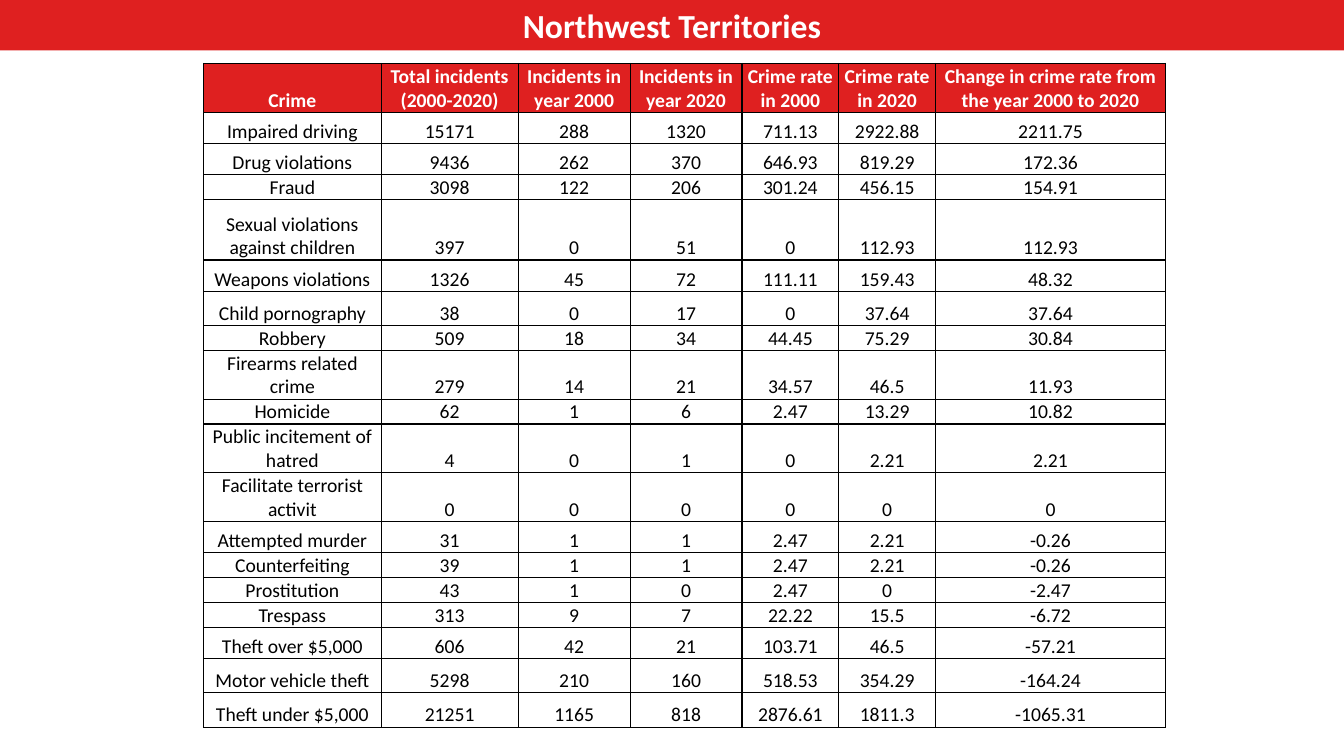
from dataclasses import dataclass
from typing import NamedTuple

from lxml import etree
from pptx import Presentation
from pptx import util as u
from pptx.dml.color import RGBColor
from pptx.enum import text
from pptx.oxml import ns


# Colours and type sizes
@dataclass(frozen=True)
class Theme:
    red: str = "DF2020"
    white: str = "FFFFFF"
    black: str = "000000"
    font: str = "Calibri"
    title: int = 24
    body: int = 14
    line: int = 1


class Crime(NamedTuple):
    name: str
    total: int
    first: int
    last: int
    early: float
    late: float
    height: float

    def cells(self) -> list[str]:
        change = round(self.late - self.early, 2)
        return [f"{v:.8g}" if isinstance(v, float) else str(v)
                for v in (*self[:6], change)]


THEME = Theme()
HEADS = ["Crime", "Total incidents (2000-2020)", "Incidents in year 2000",
         "Incidents in year 2020", "Crime rate in 2000", "Crime rate in 2020",
         "Change in crime rate from the year 2000 to 2020"]
WIDTHS = [1.76, 1.36, 1.11, 1.11, 0.96, 0.96, 2.28]
HEAD = 0.47

# Name, total, incidents in 2000 and 2020, rates in 2000 and 2020, row height
CRIMES = [
    Crime("Impaired driving", 15171, 288, 1320, 711.13, 2922.88, 0.31),
    Crime("Drug violations", 9436, 262, 370, 646.93, 819.29, 0.31),
    Crime("Fraud", 3098, 122, 206, 301.24, 456.15, 0.24),
    Crime("Sexual violations against children", 397, 0, 51, 0, 112.93, 0.6),
    Crime("Weapons violations", 1326, 45, 72, 111.11, 159.43, 0.31),
    Crime("Child pornography", 38, 0, 17, 0, 37.64, 0.34),
    Crime("Robbery", 509, 18, 34, 44.45, 75.29, 0.24),
    Crime("Firearms related crime", 279, 14, 21, 34.57, 46.5, 0.47),
    Crime("Homicide", 62, 1, 6, 2.47, 13.29, 0.24),
    Crime("Public incitement of hatred", 4, 0, 1, 0, 2.21, 0.47),
    Crime("Facilitate terrorist activit", 0, 0, 0, 0, 0, 0.47),
    Crime("Attempted murder", 31, 1, 1, 2.47, 2.21, 0.31),
    Crime("Counterfeiting", 39, 1, 1, 2.47, 2.21, 0.24),
    Crime("Prostitution", 43, 1, 0, 2.47, 0, 0.24),
    Crime("Trespass", 313, 9, 7, 22.22, 15.5, 0.24),
    Crime("Theft over $5,000", 606, 42, 21, 103.71, 46.5, 0.31),
    Crime("Motor vehicle theft", 5298, 210, 160, 518.53, 354.29, 0.34),
    Crime("Theft under $5,000", 21251, 1165, 818, 2876.61, 1811.3, 0.34),
]


def paint(fill, color: str) -> None:
    fill.solid()
    fill.fore_color.rgb = RGBColor.from_string(color)


def write(frame, words: str, size: int, color: str, bold: bool) -> None:
    frame.text = words
    para = frame.paragraphs[0]
    para.alignment = text.PP_ALIGN.CENTER
    for run in para.runs:
        run.font.name = THEME.font
        run.font.size = u.Pt(size)
        run.font.bold = bold
        run.font.color.rgb = RGBColor.from_string(color)


def border(cell) -> None:
    props = cell._tc.get_or_add_tcPr()
    for side in ("L", "R", "T", "B"):
        line = etree.SubElement(props, ns.qn(f"a:ln{side}"),
                                w=str(u.Pt(THEME.line)))
        fill = etree.SubElement(line, ns.qn("a:solidFill"))
        etree.SubElement(fill, ns.qn("a:srgbClr"), val=THEME.black)


def style(cell, words: str, head: bool) -> None:
    color = THEME.white if head else THEME.black
    write(cell.text_frame, words, THEME.body, color, head)
    cell.vertical_anchor = text.MSO_ANCHOR.BOTTOM
    cell.margin_left = cell.margin_right = cell.margin_top = u.Inches(0.01)
    cell.margin_bottom = 0
    border(cell)
    if head:
        paint(cell.fill, THEME.red)
    else:
        cell.fill.background()


def banner(slide, words: str, width: int) -> None:
    title = slide.shapes.title
    title.left, title.top = 0, 0
    title.width, title.height = width, u.Inches(0.5)
    paint(title.fill, THEME.red)
    frame = title.text_frame
    frame.auto_size = text.MSO_AUTO_SIZE.NONE
    frame.vertical_anchor = text.MSO_ANCHOR.MIDDLE
    write(frame, words, THEME.title, THEME.white, True)


def grid(slide) -> None:
    rows = [HEADS] + [crime.cells() for crime in CRIMES]
    heights = [HEAD] + [crime.height for crime in CRIMES]
    table = slide.shapes.add_table(
        len(rows), len(HEADS), u.Inches(2.02), u.Inches(0.63),
        u.Inches(sum(WIDTHS)), u.Inches(sum(heights))).table
    table.horz_banding = False
    for col, width in zip(table.columns, WIDTHS):
        col.width = u.Inches(width)
    for r, (words, height) in enumerate(zip(rows, heights)):
        table.rows[r].height = u.Inches(height)
        for c, word in enumerate(words):
            style(table.cell(r, c), word, r == 0)


def main() -> None:
    deck = Presentation()
    deck.slide_width, deck.slide_height = u.Inches(13.33), u.Inches(7.5)
    slide = deck.slides.add_slide(deck.slide_layouts[5])
    banner(slide, "Northwest Territories", deck.slide_width)
    grid(slide)
    deck.save("out.pptx")


if __name__ == "__main__":
    main()
